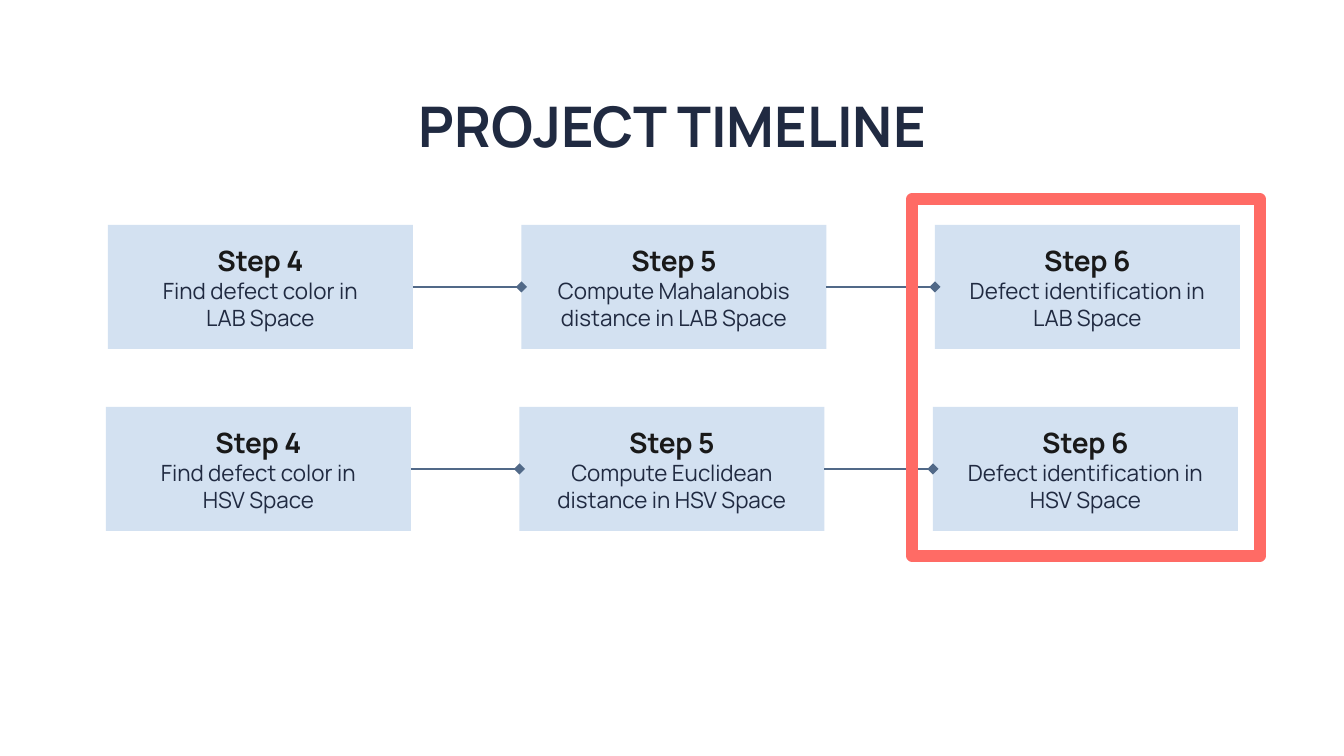
from dataclasses import dataclass

from lxml.etree import SubElement
from pptx import Presentation
from pptx.dml.color import RGBColor as RGB
from pptx.enum.shapes import MSO_CONNECTOR as CONN, MSO_SHAPE as SHAPE
from pptx.enum.text import MSO_ANCHOR as ANCHOR, PP_ALIGN as ALIGN
from pptx.oxml.ns import qn
from pptx.util import Pt

PX = 914400 / 134.4  # EMU per px


@dataclass(frozen=True)
class Theme:
    font: str = "Manrope"
    ink: RGB = RGB(0x20, 0x2A, 0x41)
    heading: RGB = RGB(0x19, 0x19, 0x19)
    card: RGB = RGB(0xD3, 0xE1, 0xF1)
    link: RGB = RGB(0x51, 0x69, 0x88)
    accent: RGB = RGB(0xFF, 0x6B, 0x65)
    title_size: int = 30
    step_size: int = 15
    body_size: int = 12
    link_width: float = 0.75
    frame_width: int = 6


THEME = Theme()
CARD_W, INSET = 305, 13

LAB_STEPS = [
    ("Step 4", "Find defect color in", "LAB Space"),
    ("Step 5", "Compute Mahalanobis distance in LAB Space"),
    ("Step 6", "Defect identification in LAB Space"),
]
HSV_STEPS = [
    ("Step 4", "Find defect color in", "HSV Space"),
    ("Step 5", "Compute Euclidean distance in HSV Space"),
    ("Step 6", "Defect identification in HSV Space"),
]


def emu(*lengths):
    return [round(n * PX) for n in lengths]


def style(p, size, color, bold=False):
    p.alignment = ALIGN.CENTER
    for r in p.runs:
        r.font.name = THEME.font
        r.font.size = Pt(size)
        r.font.bold = bold
        r.font.color.rgb = color


def set_insets(tf):
    tf.word_wrap = True
    inset, = emu(INSET)
    tf.margin_left = tf.margin_right = tf.margin_top = tf.margin_bottom = inset


def add_title(slide, x, y, w, h, text):
    tf = slide.shapes.add_textbox(*emu(x, y, w, h)).text_frame
    set_insets(tf)
    tf.text = text
    style(tf.paragraphs[0], THEME.title_size, THEME.ink, bold=True)


def add_card(slide, x, y, w, h, lines):
    s = slide.shapes.add_shape(SHAPE.RECTANGLE, *emu(x, y, w, h))
    s.shadow.inherit = False
    s.fill.solid()
    s.fill.fore_color.rgb = THEME.card
    s.line.fill.background()
    tf = s.text_frame
    set_insets(tf)
    tf.vertical_anchor = ANCHOR.MIDDLE
    tf.text = "\n".join(lines)
    step, *body = tf.paragraphs
    style(step, THEME.step_size, THEME.heading, bold=True)
    for p in body:
        style(p, THEME.body_size, THEME.ink)
    return s


def add_link(slide, start, end):
    c = slide.shapes.add_connector(CONN.STRAIGHT, 0, 0, 0, 0)
    c.begin_connect(start, 3)
    c.end_connect(end, 1)
    c.line.color.rgb = THEME.link
    c.line.width = Pt(THEME.link_width)
    SubElement(c.line._get_or_add_ln(), qn("a:tailEnd"), type="diamond")
    SubElement(c._element.spPr, qn("a:effectLst"))


def add_step_row(slide, x, y, w, h, steps):
    # Cards are spread evenly over the row
    pitch = (w - CARD_W) / (len(steps) - 1)
    cards = [add_card(slide, x + i * pitch, y, CARD_W, h, lines)
             for i, lines in enumerate(steps)]
    for start, end in zip(cards, cards[1:]):
        add_link(slide, start, end)


def add_highlight(slide, x, y, w, h):
    s = slide.shapes.add_shape(SHAPE.RECTANGLE, *emu(x, y, w, h))
    s.shadow.inherit = False
    s.fill.background()
    s.line.color.rgb = THEME.accent
    s.line.width = Pt(THEME.frame_width)
    SubElement(s.line._get_or_add_ln(), qn("a:round"))


def main():
    prs = Presentation()
    prs.slide_width, prs.slide_height = emu(1344, 756)
    slide = prs.slides.add_slide(prs.slide_layouts[6])

    # Title
    add_title(slide, 106, 79, 1133, 85, "PROJECT TIMELINE")

    # One row of steps for each color space
    add_step_row(slide, 108, 225, 1132, 124, LAB_STEPS)
    add_step_row(slide, 106, 407, 1132, 124, HSV_STEPS)

    # Frame around the last step
    add_highlight(slide, 912, 199, 348, 357)

    prs.save("out.pptx")


if __name__ == "__main__":
    main()
